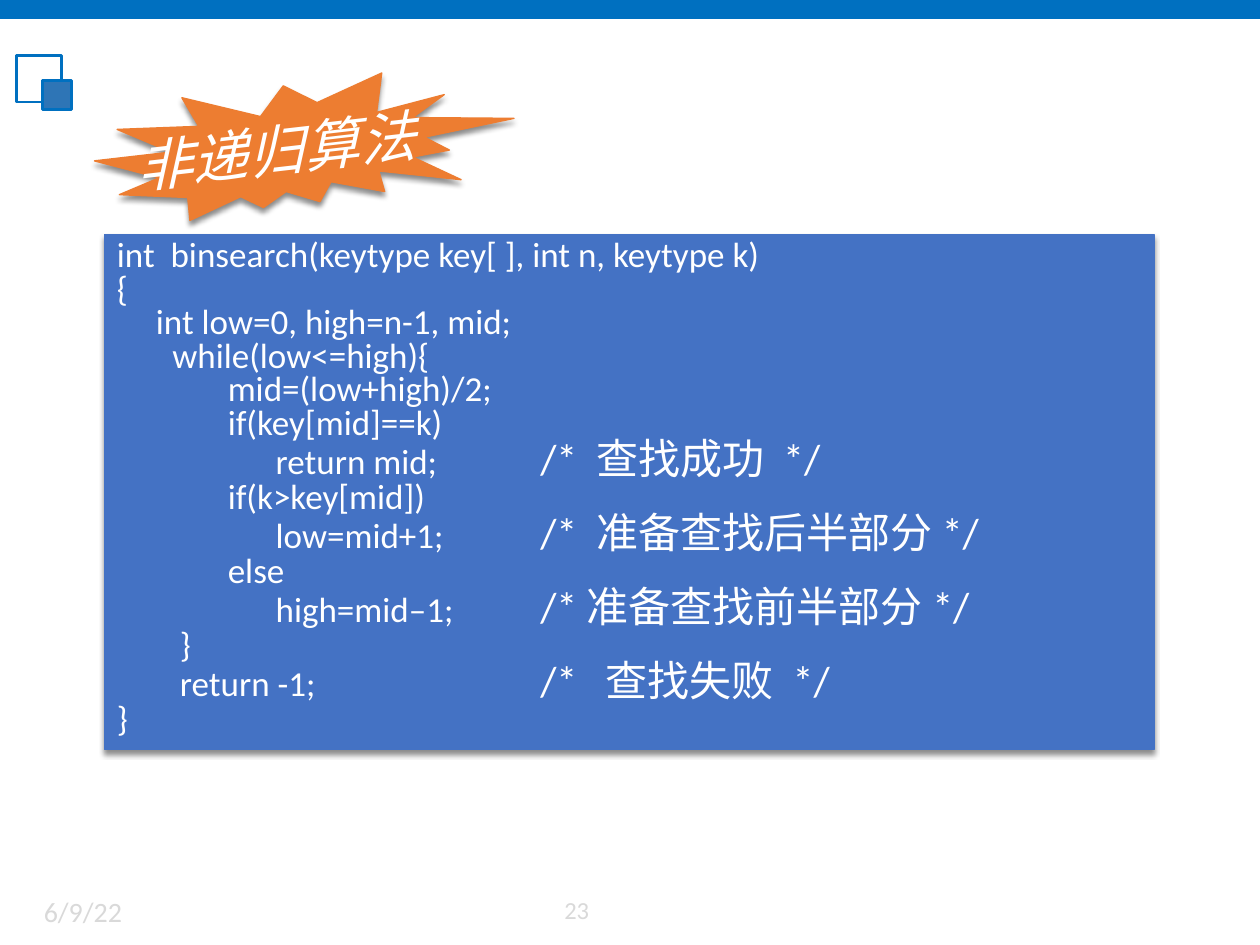
from lxml.etree import SubElement
from pptx import Presentation
from pptx.dml.color import RGBColor
from pptx.enum.shapes import MSO_SHAPE
from pptx.enum.text import MSO_ANCHOR
from pptx.oxml.ns import qn
from pptx.util import Inches, Pt

BLUE, SQUARE, PANEL, ORANGE = "0070C0", "2E75B6", "4472C4", "ED7D31"
WHITE, GREY = "FFFFFF", "D9D9D9"
COMMENT_STOP = 3.36

CODE = [
    (0, "int  binsearch(keytype key[ ], int n, keytype k)", ""),
    (0, "{", ""),
    (0.31, "int low=0, high=n-1, mid;", ""),
    (0.44, "while(low<=high){", ""),
    (0.88, "mid=(low+high)/2;", ""),
    (0.88, "if(key[mid]==k)", ""),
    (1.26, "return mid;", "/*  查找成功  */"),
    (0.88, "if(k>key[mid])", ""),
    (1.26, "low=mid+1;", "/*  准备查找后半部分 */"),
    (0.88, "else", ""),
    (1.26, "high=mid–1;", "/* 准备查找前半部分 */"),
    (0.5, "}", ""),
    (0.5, "return -1;", "/*   查找失败  */"),
    (0, "}", ""),
]


def rgb(value):
    return RGBColor.from_string(value)


class SlideBuilder:
    """Holds the style and the current slide, and adds each kind of element."""

    latin, east_asian = "Calibri", "Noto Sans CJK SC"

    def __init__(self, slide):
        self.slide = slide

    def group(self):
        return self.slide.shapes.add_group_shape()

    def shape(self, preset, box, fill=None, line=None, width=0.79, shadow=False, group=None):
        owner = group or self.slide
        item = owner.shapes.add_shape(preset, *map(Inches, box))
        item.shadow.inherit = False
        if fill:
            item.fill.solid()
            item.fill.fore_color.rgb = rgb(fill)
        else:
            item.fill.background()
        if line:
            item.line.color.rgb = rgb(line)
            item.line.width = Pt(width)
        else:
            item.line.fill.background()
        if shadow:
            self.drop_shadow(item)
        return item

    def drop_shadow(self, item):
        effects = item._element.spPr.find(qn("a:effectLst"))
        outer = SubElement(effects, qn("a:outerShdw"), blurRad=str(Pt(3)), dist=str(Pt(2.4)),
                           dir="5400000", algn="ctr", rotWithShape="0")
        black = SubElement(outer, qn("a:srgbClr"), val="000000")
        SubElement(black, qn("a:alpha"), val="45000")

    def run(self, paragraph, text, size, color, latin=None, east_asian=None, italic=None):
        run = paragraph.add_run()
        run.text = text
        formats = {"name": latin or self.latin, "size": Pt(size), "italic": italic}
        for attribute, value in formats.items():
            setattr(run.font, attribute, value)
        run.font.color.rgb = rgb(color)
        SubElement(run._r.get_or_add_rPr(), qn("a:ea"), typeface=east_asian or self.east_asian)

    def text(self, box, text, size, color, rotation=0, group=None, **style):
        owner = group or self.slide
        item = owner.shapes.add_textbox(*map(Inches, box))
        item.rotation = rotation
        frame = item.text_frame
        for attribute, value in {"word_wrap": True, "vertical_anchor": MSO_ANCHOR.MIDDLE}.items():
            setattr(frame, attribute, value)
        self.run(frame.paragraphs[0], text, size, color, **style)

    def tab_stops(self, paragraph, stops):
        tabs = SubElement(paragraph._p.get_or_add_pPr(), qn("a:tabLst"))
        for stop in stops:
            SubElement(tabs, qn("a:tab"), pos=str(Inches(stop)), algn="l")

    def code(self, box, lines):
        panel = self.shape(MSO_SHAPE.RECTANGLE, box, PANEL, PANEL, shadow=True)
        frame = panel.text_frame
        for attribute, value in {"word_wrap": True, "vertical_anchor": MSO_ANCHOR.TOP}.items():
            setattr(frame, attribute, value)
        for index, (indent, statement, comment) in enumerate(lines):
            paragraph = frame.add_paragraph() if index else frame.paragraphs[0]
            for attribute, value in {"alignment": 1, "line_spacing": 0.8}.items():
                setattr(paragraph, attribute, value)
            stops = [stop for stop in (indent, COMMENT_STOP if comment else 0) if stop]
            if stops:
                self.tab_stops(paragraph, stops)
            lead = "\t" if indent else ""
            trail = "\t" if comment else ""
            self.run(paragraph, lead + statement + trail, 20, WHITE)
            if comment:
                self.run(paragraph, comment, 24, WHITE)


def main():
    deck = Presentation()
    deck.slide_width, deck.slide_height = Inches(10), Inches(7.5)
    builder = SlideBuilder(deck.slides.add_slide(deck.slide_layouts[6]))

    builder.shape(MSO_SHAPE.RECTANGLE, (0, 0, 10, 0.15), BLUE)
    emblem = builder.group()
    builder.shape(MSO_SHAPE.RECTANGLE, (0.13, 0.44, 0.36, 0.37), None, BLUE, 1.5, group=emblem)
    builder.shape(MSO_SHAPE.RECTANGLE, (0.34, 0.64, 0.23, 0.23), SQUARE, BLUE, 1.5, group=emblem)

    builder.text((0.25, 7.03, 1.84, 0.4), "6/9/22", 16, GREY)
    builder.text((4.38, 7.03, 0.62, 0.38), "23", 14, GREY)
    builder.code((0.83, 1.86, 8.33, 4.09), CODE)

    heading = builder.group()
    builder.shape(MSO_SHAPE.EXPLOSION2, (0.75, 0.58, 3.33, 1.17), ORANGE, ORANGE,
                  shadow=True, group=heading)
    builder.text((0.97, 0.85, 2.83, 0.63), "非递归算法", 32, WHITE, rotation=353.4, group=heading,
                 latin="DejaVu Sans", east_asian="DejaVu Sans", italic=True)
    deck.save("out.pptx")


if __name__ == "__main__":
    main()
